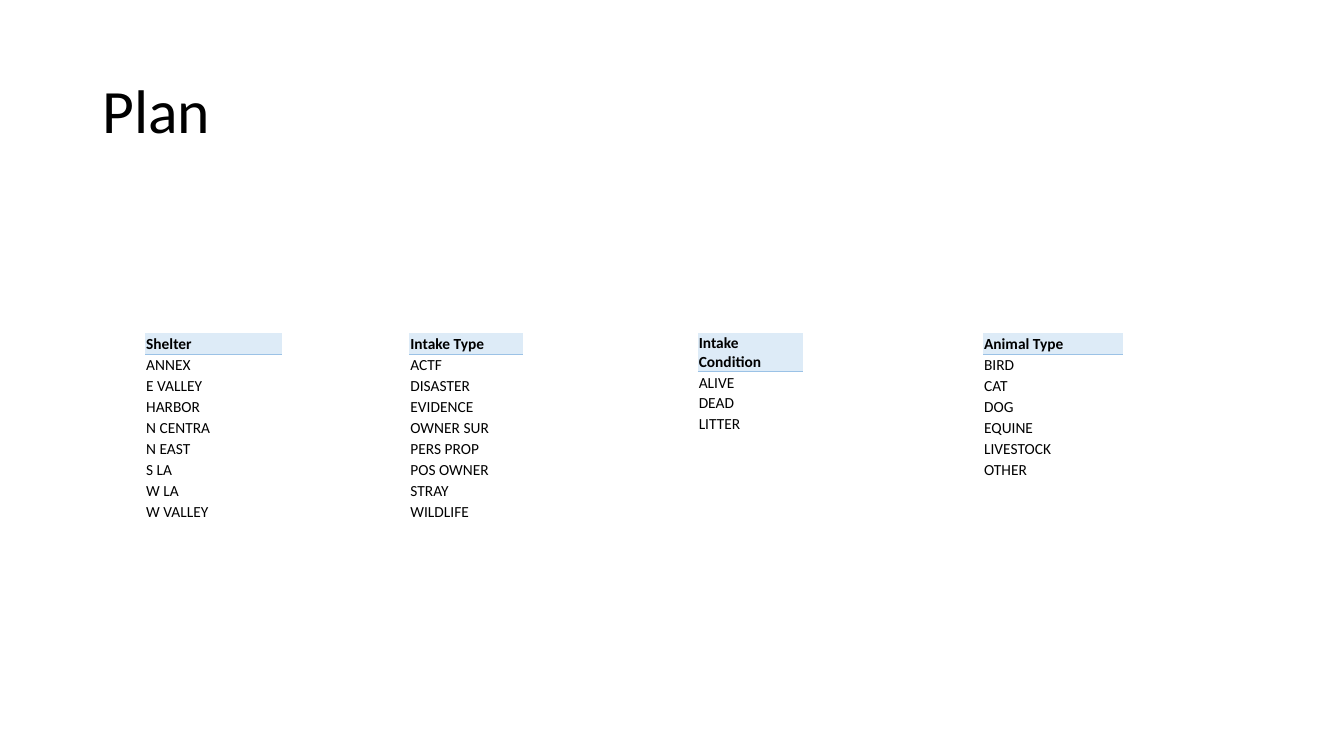
import pptx
import pptx.util
import pptx.dml.color
import pptx.enum.text
import pptx.oxml
import pptx.oxml.ns

COLORS = {"text": "000000", "header": "DDEBF7", "rule": "9BC2E6"}
NO_STYLE = "{2D5ABB26-0587-4C30-8999-92F81FD0307C}"
GRID_COLUMNS, GRID_ROWS = 96, 54


class PlanPage:
    """Holds the style and the current slide; lengths are grid units."""

    font_name = "Calibri"
    row_height = 1.5

    def __init__(self, deck):
        self.page = deck.slides.add_slide(deck.slide_layouts[6])
        self.column = deck.slide_width / GRID_COLUMNS
        self.row = deck.slide_height / GRID_ROWS

    def place(self, left, top, width, height):
        return (round(left * self.column), round(top * self.row),
                round(width * self.column), round(height * self.row))

    def style(self, para, size, bold=False):
        for span in para.runs:
            span.font.name = self.font_name
            span.font.size = pptx.util.Pt(size)
            span.font.bold = bold
            span.font.color.rgb = pptx.dml.color.RGBColor.from_string(COLORS["text"])

    def title(self, text, *place):
        frame = self.page.shapes.add_textbox(*self.place(*place)).text_frame
        frame.word_wrap = True
        frame.vertical_anchor = pptx.enum.text.MSO_ANCHOR.MIDDLE
        para = frame.paragraphs[0]
        para.text = text
        para.line_spacing = 0.9
        self.style(para, 44)

    def header_cell(self, cell):
        cell.fill.solid()
        cell.fill.fore_color.rgb = pptx.dml.color.RGBColor.from_string(COLORS["header"])
        border = pptx.oxml.parse_xml(
            f'<a:lnB {pptx.oxml.ns.nsdecls("a")} w="6350"><a:solidFill>'
            f'<a:srgbClr val="{COLORS["rule"]}"/></a:solidFill></a:lnB>')
        cell._tc.get_or_add_tcPr().insert(0, border)

    def value_list(self, header, values, left, top, width):
        entries = [header, *values]
        place = self.place(left, top, width, self.row_height * len(entries))
        table = self.page.shapes.add_table(len(entries), 1, *place).table
        table.first_row = table.horz_banding = False
        table._tbl.tblPr[0].text = NO_STYLE
        for index, entry in enumerate(entries):
            cell = table.cell(index, 0)
            cell.margin_left = cell.margin_right = cell.margin_top = pptx.util.Inches(0.01)
            cell.margin_bottom = 0
            cell.vertical_anchor = pptx.enum.text.MSO_ANCHOR.BOTTOM
            cell.text_frame.text = entry
            self.style(cell.text_frame.paragraphs[0], 11, bold=index == 0)
            if index == 0:
                self.header_cell(cell)
            else:
                cell.fill.background()


# Deck
deck = pptx.Presentation()
deck.slide_width = pptx.util.Inches(13.33)
deck.slide_height = pptx.util.Inches(7.5)
plan = PlanPage(deck)

# Title
plan.title("Plan", 6.6, 2.88, 82.8, 10.44)

# Value lists: header, left, width, values
LISTS = [
    ("Shelter", 10.37, 9.8, ["ANNEX", "E VALLEY", "HARBOR", "N CENTRA", "N EAST",
                             "S LA", "W LA", "W VALLEY"]),
    ("Intake Type", 29.24, 8.14, ["ACTF", "DISASTER", "EVIDENCE", "OWNER SUR",
                                  "PERS PROP", "POS OWNER", "STRAY", "WILDLIFE"]),
    ("Intake Condition", 49.84, 7.5, ["ALIVE", "DEAD", "LITTER"]),
    ("Animal Type", 70.22, 10, ["BIRD", "CAT", "DOG", "EQUINE", "LIVESTOCK", "OTHER"]),
]
for header, left, width, values in LISTS:
    plan.value_list(header, values, left, 23.8, width)

deck.save("out.pptx")
